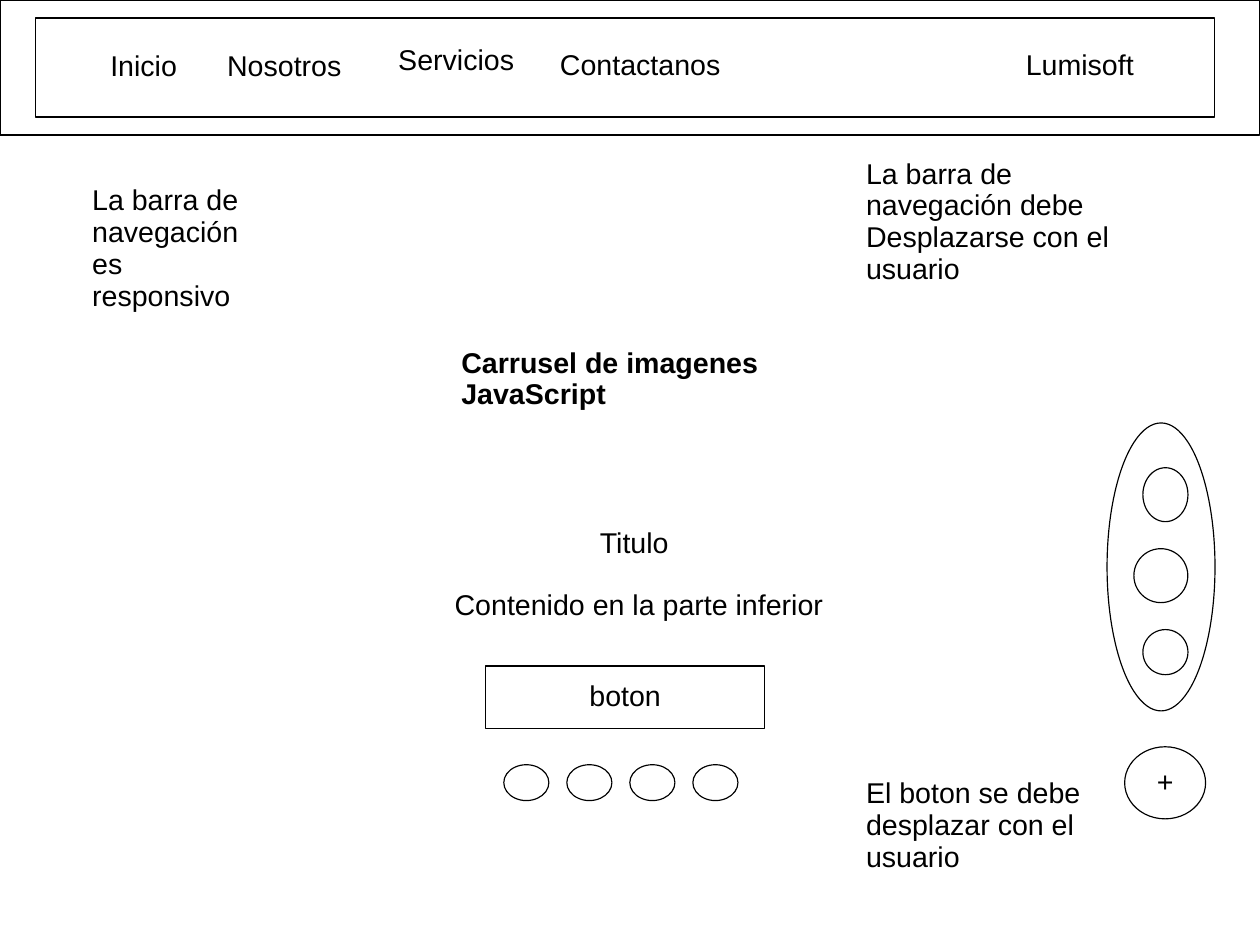
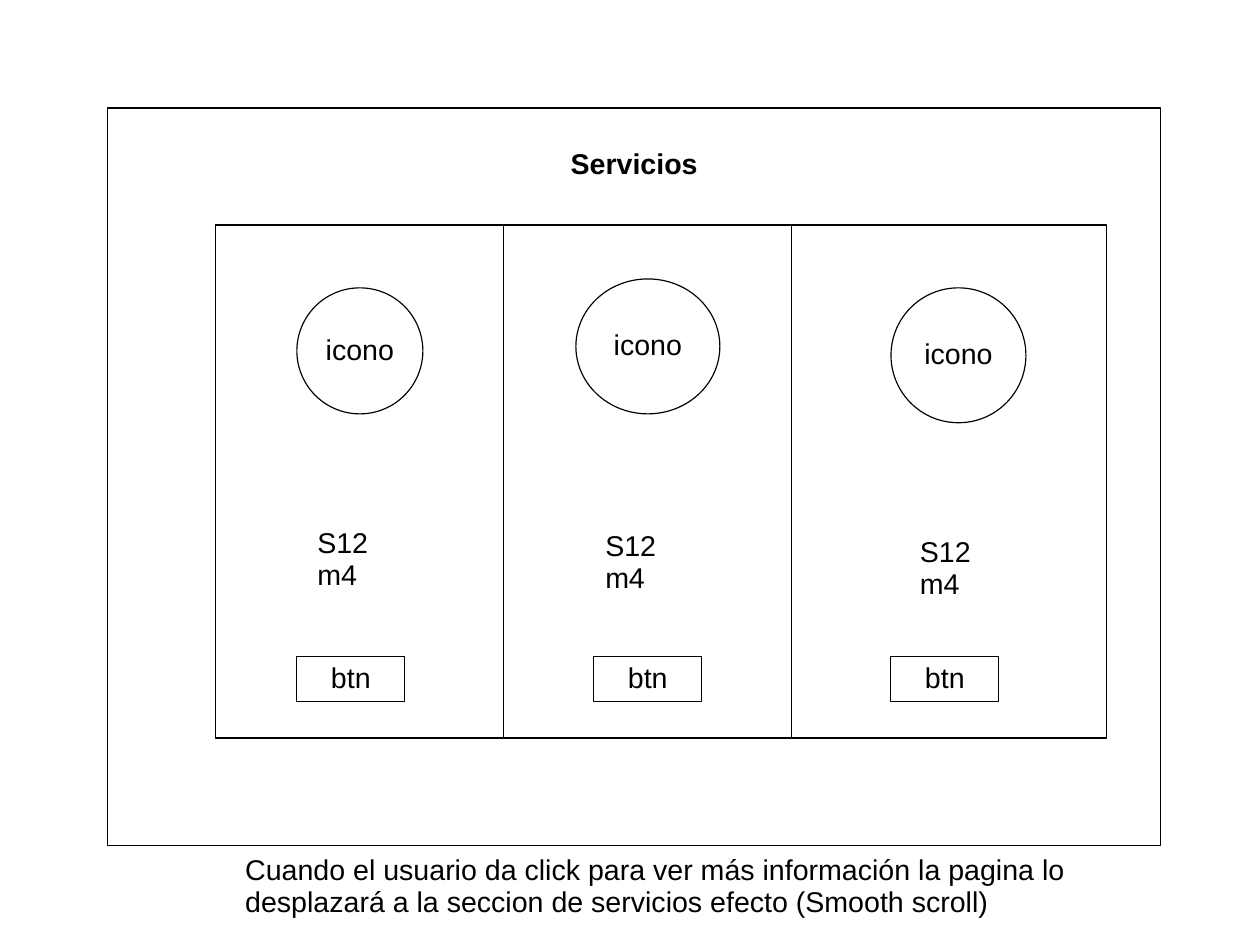
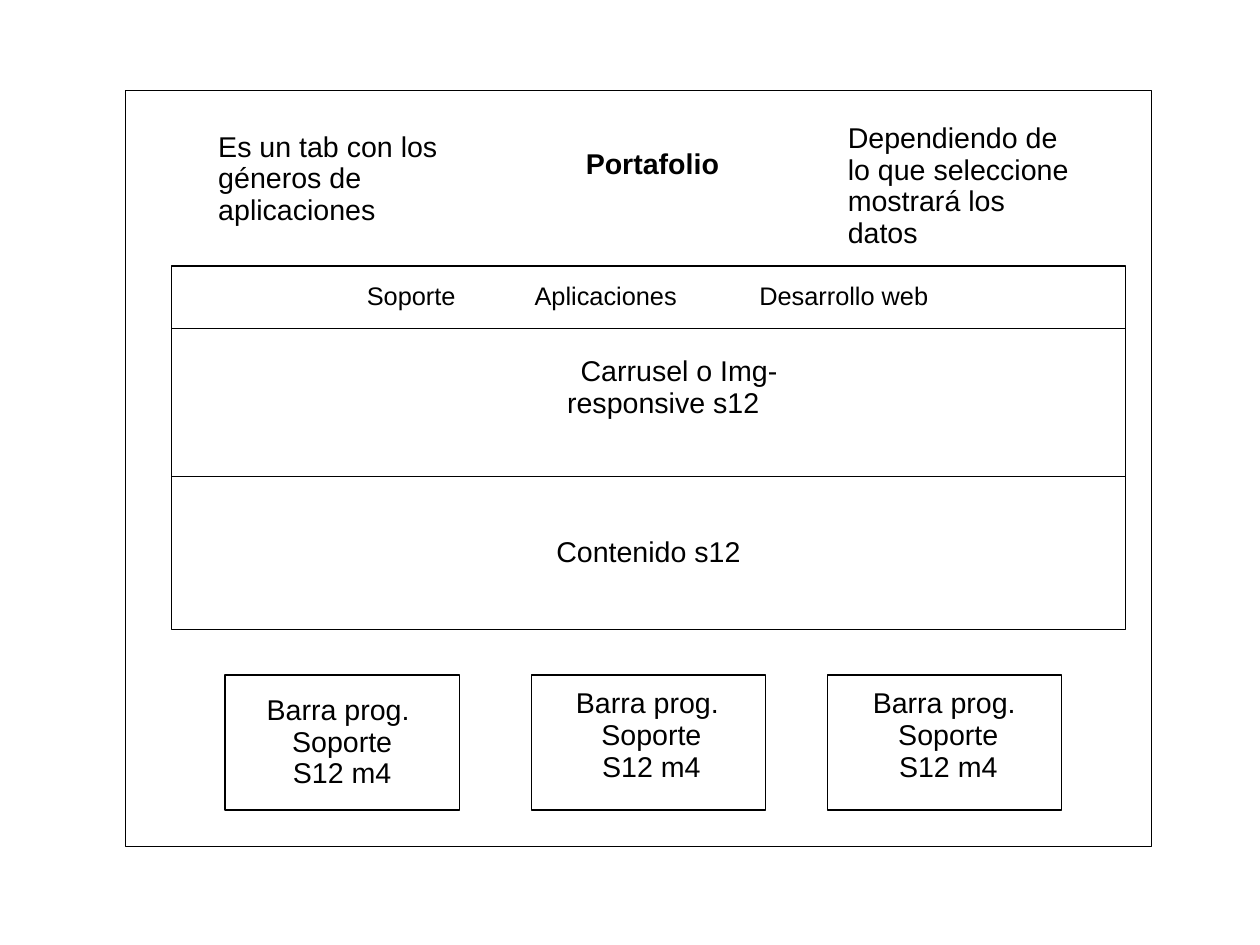
import lxml.etree
import pptx
import pptx.dml.color
import pptx.enum.shapes
import pptx.enum.text
import pptx.oxml.ns
import pptx.util
from dataclasses import dataclass

Pt = pptx.util.Pt
RECTANGLE = pptx.enum.shapes.MSO_SHAPE.RECTANGLE
OVAL = pptx.enum.shapes.MSO_SHAPE.OVAL
LEFT = pptx.enum.text.PP_ALIGN.LEFT
CENTER = pptx.enum.text.PP_ALIGN.CENTER
TOP = pptx.enum.text.MSO_ANCHOR.TOP
MIDDLE = pptx.enum.text.MSO_ANCHOR.MIDDLE


@dataclass(frozen=True)
class Theme:
    font: str = "Arial"
    ink: pptx.dml.color.RGBColor = pptx.dml.color.RGBColor(0, 0, 0)
    paper: pptx.dml.color.RGBColor = pptx.dml.color.RGBColor(255, 255, 255)
    body_size: float = 18
    tab_size: float = 16
    line_width: float = 0.75
    line_spacing: float = 0.93


theme = Theme()


def write_text(shape, text, align=LEFT, anchor=TOP, wrap=True, size=theme.body_size, bold=False):
    frame = shape.text_frame
    frame.text = text
    frame.auto_size = pptx.enum.text.MSO_AUTO_SIZE.NONE
    frame.word_wrap = wrap
    frame.vertical_anchor = anchor
    for paragraph in frame.paragraphs:
        paragraph.alignment = align
        paragraph.line_spacing = theme.line_spacing
        for run in paragraph.runs:
            run.font.name = theme.font
            run.font.size = Pt(size)
            run.font.bold = bold
            run.font.color.rgb = theme.ink


def add_item(slide, kind, bounds, text="", **text_style):
    """Add an outlined shape, or a plain text box when kind is None."""
    lengths = [Pt(value) for value in bounds]
    if kind is None:
        shape = slide.shapes.add_textbox(*lengths)
        write_text(shape, text, **text_style)
        return shape
    shape = slide.shapes.add_shape(kind, *lengths)
    shape.shadow.inherit = False
    shape.fill.solid()
    shape.fill.fore_color.rgb = theme.paper
    shape.line.color.rgb = theme.ink
    shape.line.width = Pt(theme.line_width)
    if text:
        write_text(shape, text, align=CENTER, anchor=MIDDLE, wrap=False)
    return shape


presentation = pptx.Presentation()
presentation.slide_width = Pt(793.75)
presentation.slide_height = Pt(595.25)

# Each slide: title, alignment, title bounds and the outer frames behind it
pages = [
    ("Carrusel de imagenes\nJavaScript", LEFT, (283.4, 215.3, 215.4, 49),
     [(0, 0, 793.7, 85), (22.4, 11.3, 742.5, 62.4)]),
    ("Servicios", CENTER, (340, 90.4, 119, 29), [(67.8, 68, 663.2, 464.8)]),
    ("Portafolio", CENTER, (255, 90.5, 312, 29), [(79.3, 57, 646.3, 476)]),
]
for title_text, title_align, title_bounds, frames in pages:
    slide = presentation.slides.add_slide(presentation.slide_layouts[5])
    for bounds in frames:
        add_item(slide, RECTANGLE, bounds)
    title = slide.shapes.title
    title.left, title.top, title.width, title.height = [Pt(value) for value in title_bounds]
    write_text(title, title_text, align=title_align, bold=True)
    # Bring the title in front of the frames
    title.element.getparent().append(title.element)

home, services, portfolio = presentation.slides

# Home: navigation bar
for label, left, top, width, align in [
    ("Inicio", 62.4, 28.4, 79, LEFT),
    ("Nosotros", 136, 28.4, 96.5, LEFT),
    ("Servicios", 243.8, 25, 102, LEFT),
    ("Contactanos", 345.7, 28, 119, LEFT),
    ("Lumisoft", 618, 28, 124.5, CENTER),
]:
    add_item(home, None, (left, top, width, 29), label, align=align)

# Home: carousel caption, button and position dots
add_item(home, None, (311.8, 329, 175.5, 29), "Titulo", align=CENTER)
add_item(home, None, (266.5, 368, 272, 29), "Contenido en la parte inferior", align=CENTER)
add_item(home, RECTANGLE, (306, 419.5, 175.7, 39.5), "boton")
for index in range(4):
    add_item(home, OVAL, (317.4 + index * 39.7, 481.7, 28.4, 22.6))

# Home: floating button with its open menu
add_item(home, OVAL, (697.4, 266.4, 68, 181.4))
for index, (left, width, height) in enumerate([(720, 28.4, 34), (714.3, 34, 34), (720, 28.4, 28.4)]):
    add_item(home, OVAL, (left, 294.6 + index * 51, width, height))
add_item(home, OVAL, (708.5, 470.4, 51, 45.4), "+")

# Home: notes
add_item(home, None, (51, 113.3, 119, 88.5), "La barra de navegación es responsivo")
add_item(home, None, (538.5, 96.3, 170, 49),
         "La barra de navegación debe\nDesplazarse con el usuario")
add_item(home, None, (538.5, 486.5, 164, 69), "El boton se debe desplazar con el usuario")

# Services: three columns with icon, grid size and button
columns = [
    (181.4, (187, 181.3, 79.4, 79.4), (192.8, 329)),
    (181.4, (362.8, 175.7, 90.7, 85), (374.2, 331)),
    (198.5, (561.3, 181.3, 85, 85), (572.4, 334.8)),
]
column_left = 136
for index, (column_width, icon_bounds, label_position) in enumerate(columns):
    add_item(services, RECTANGLE, (column_left, 141.7, column_width, 323.2))
    add_item(services, OVAL, icon_bounds, "icono")
    add_item(services, None, (*label_position, 73.5, 49), "S12 m4")
    add_item(services, RECTANGLE, (187 + index * 187.1, 413.8, 68, 28.3), "btn")
    column_left += column_width
add_item(services, None, (147.4, 534.8, 567.5, 49),
         "Cuando el usuario da click para ver más información la pagina lo "
         "desplazará a la seccion de servicios efecto (Smooth scroll)")

# Portfolio: stacked rows for tabs, carousel and content
rows = []
row_top = 167.5
for row_height, row_text in [(39.5, ""), (93.4, ""), (96.4, "Contenido s12")]:
    rows.append(add_item(portfolio, RECTANGLE, (108, row_top, 601, row_height), row_text))
    row_top += row_height

# Portfolio: tab names on centred tab stops
write_text(rows[0], "\tSoporte\tAplicaciones\tDesarrollo web", anchor=MIDDLE, size=theme.tab_size)
tab_properties = rows[0].text_frame.paragraphs[0]._p.get_or_add_pPr()
tab_list = lxml.etree.SubElement(tab_properties, pptx.oxml.ns.qn("a:tabLst"))
for position in (144, 266.5, 416.5):
    lxml.etree.SubElement(tab_list, pptx.oxml.ns.qn("a:tab"), pos=str(Pt(position)), algn="ctr")

# Portfolio: carousel label, its first line indented
carousel = add_item(portfolio, None, (335.8, 221, 164, 69), "Carrusel o Img-responsive s12", align=CENTER)
carousel.text_frame.paragraphs[0]._p.get_or_add_pPr().set("indent", str(Pt(20)))

# Portfolio: progress cards, the last two with a separate label
card_text = "Barra prog. \nSoporte\nS12 m4"
for left, text, label_left in [(141.8, card_text, None), (334.6, "", 355.6), (521.5, "", 542.6)]:
    add_item(portfolio, RECTANGLE, (left, 425.2, 147.5, 85), text)
    if label_left:
        add_item(portfolio, None, (label_left, 429.7, 109.5, 69), card_text, align=CENTER)

# Portfolio: notes
add_item(portfolio, None, (130.4, 79.3, 170, 69), "Es un tab con los géneros de aplicaciones")
add_item(portfolio, None, (527, 73.7, 159, 69), "Dependiendo de lo que seleccione mostrará los datos")

presentation.save("out.pptx")
